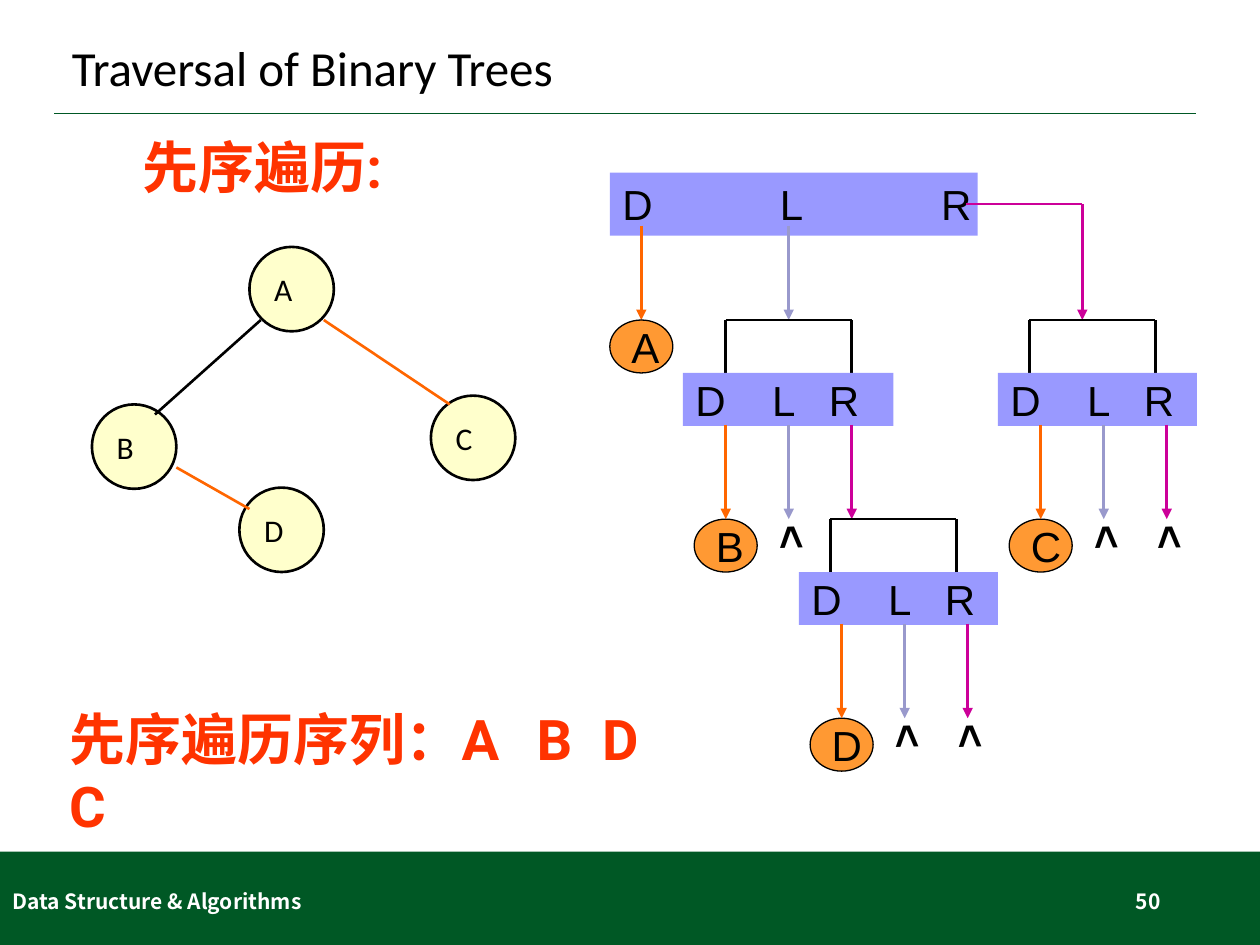
"""Build the slide that walks through a preorder traversal of a binary tree."""
import dataclasses

import lxml.etree
import pptx
import pptx.dml.color
import pptx.enum.shapes
import pptx.enum.text
import pptx.oxml.ns
import pptx.util

Inches = pptx.util.Inches
SHAPE = pptx.enum.shapes.MSO_SHAPE
ALIGN = pptx.enum.text.PP_ALIGN
ANCHOR = pptx.enum.text.MSO_ANCHOR
qn = pptx.oxml.ns.qn


@dataclasses.dataclass(frozen=True)
class Theme:
    """Colours, fonts and type sizes of the slide."""
    green: str = "005825"
    black: str = "000000"
    white: str = "FFFFFF"
    red: str = "FF3300"
    cream: str = "FFFFCC"
    amber: str = "FF9933"
    violet: str = "9999FF"
    visit: str = "FF6600"
    left: str = "9999CC"
    right: str = "CC0099"
    body: str = "Calibri"
    letter: str = "Arial"
    heading: str = "Roboto"
    cjk: str = "Noto Sans CJK SC"
    title_size: int = 28
    heading_size: int = 32
    letter_size: int = 24
    node_size: int = 18
    footer_size: int = 12


class TraversalSlide:
    """Hold the theme and the current slide, and draw each kind of element."""

    def __init__(self, deck, theme):
        self.theme = theme
        self.slide = deck.slides.add_slide(deck.slide_layouts[5])

    def color(self, value):
        return pptx.dml.color.RGBColor.from_string(value)

    def apply(self, target, values):
        for name, value in values.items():
            setattr(target, name, value)

    def set_text(self, holder, words, font, size, color, bold=False,
                 align=ALIGN.LEFT, tabs=(), **frame_format):
        frame = holder.text_frame
        self.apply(frame, {"vertical_anchor": ANCHOR.MIDDLE, "word_wrap": True,
                           **frame_format})
        frame.text = words
        paragraph = frame.paragraphs[0]
        paragraph.alignment = align
        if tabs:
            stops = lxml.etree.SubElement(
                paragraph._p.get_or_add_pPr(), qn("a:tabLst"))
            for stop in tabs:
                lxml.etree.SubElement(stops, qn("a:tab"),
                                      pos=str(Inches(stop)), algn="l")
        for run in paragraph.runs:
            self.apply(run.font, {"name": font, "size": pptx.util.Pt(size),
                                  "bold": bold})
            run.font.color.rgb = self.color(color)
            lxml.etree.SubElement(run._r.get_or_add_rPr(), qn("a:ea"),
                                  typeface=self.theme.cjk)
        return paragraph

    def title(self, words):
        heading = self.slide.shapes.title
        self.apply(heading, {"left": Inches(0.47), "top": Inches(0.23),
                             "width": Inches(9.06), "height": Inches(0.66)})
        paragraph = self.set_text(heading, words, self.theme.body,
                                  self.theme.title_size, self.theme.black)
        paragraph.line_spacing = 0.9

    def label(self, words, place, font, size, color, rotation=0, **text_format):
        box = self.slide.shapes.add_textbox(*map(Inches, place))
        box.rotation = rotation
        self.set_text(box, words, font, size, color, bold=True, **text_format)

    def shape(self, kind, place, fill, outline=None):
        body = self.slide.shapes.add_shape(kind, *map(Inches, place))
        body.shadow.inherit = False
        body.fill.solid()
        body.fill.fore_color.rgb = self.color(fill)
        if outline:
            body.line.color.rgb = self.color(self.theme.black)
            body.line.width = pptx.util.Pt(outline)
        else:
            body.line.fill.background()
        return body

    def line(self, start, end, color, width=1.5, arrow=False):
        link = self.slide.shapes.add_connector(
            pptx.enum.shapes.MSO_CONNECTOR.STRAIGHT,
            *map(Inches, (*start, *end)))
        link.line.color.rgb = self.color(color)
        link.line.width = pptx.util.Pt(width)
        if arrow:
            lxml.etree.SubElement(link.line._get_or_add_ln(), qn("a:tailEnd"),
                                  type="triangle")
        lxml.etree.SubElement(link._element.spPr, qn("a:effectLst"))

    def node(self, letter, left, top):
        circle = self.shape(SHAPE.OVAL, (left, top, 0.67, 0.67),
                            self.theme.cream, 1.5)
        self.set_text(circle, letter, self.theme.body, self.theme.node_size,
                      self.theme.black, word_wrap=False)

    def visited(self, letter, center, top):
        oval = self.shape(SHAPE.OVAL, (center - 0.25, top, 0.5, 0.42),
                          self.theme.amber, 0.75)
        self.set_text(oval, letter, self.theme.letter, self.theme.letter_size,
                      self.theme.black, word_wrap=False)

    def empty(self, center, top):
        self.label(">", (center - 0.21, top - 0.12, 0.42, 0.51),
                   self.theme.letter, self.theme.letter_size, self.theme.black,
                   rotation=268.3, vertical_anchor=ANCHOR.TOP)

    def steps(self, place, tabs):
        bar = self.shape(SHAPE.RECTANGLE, place, self.theme.violet)
        self.set_text(bar, "D\tL\tR", self.theme.letter,
                      self.theme.letter_size, self.theme.black, tabs=tabs,
                      margin_right=0)

    def call(self, letter, left, top, width, bracket, right_empty=True):
        theme = self.theme
        roof, landing = top - 0.42, top + 1.16
        self.line((bracket, roof), (bracket + 1, roof), theme.black)
        for side in (bracket, bracket + 1):
            self.line((side, roof), (side, top), theme.black)
        self.steps((left, top, width, 0.42), (0.61, 1.06))
        for index, color in enumerate((theme.visit, theme.left, theme.right)):
            center = left + 0.34 + index * 0.5
            if index == 0:
                self.visited(letter, center, landing)
            elif index == 1 or right_empty:
                self.empty(center, landing)
            self.line((center, top + 0.41), (center, landing), color, arrow=True)


def main():
    deck = pptx.Presentation()
    deck.slide_width, deck.slide_height = Inches(10), Inches(7.5)
    theme = Theme()
    page = TraversalSlide(deck, theme)

    page.shape(SHAPE.RECTANGLE, (0, 6.76, 10, 0.74), theme.green)
    page.line((0.43, 0.9), (9.49, 0.9), theme.green, 1)
    page.title("Traversal of Binary Trees")
    footer = (theme.cjk, theme.footer_size, theme.white)
    page.label("Data Structure & Algorithms", (0, 6.95, 3.38, 0.4), *footer)
    page.label("50", (7.06, 6.95, 2.25, 0.4), *footer, align=ALIGN.RIGHT)

    for letter, left, top in (("A", 1.98, 1.96), ("D", 1.9, 3.87),
                              ("B", 0.73, 3.21), ("C", 3.42, 3.14)):
        page.node(letter, left, top)
    for parent, child, color in (((2.07, 2.54), (1.23, 3.29), theme.black),
                                 ((2.57, 2.54), (3.57, 3.21), theme.visit),
                                 ((1.4, 3.71), (1.98, 4.04), theme.visit)):
        page.line(parent, child, color)

    page.steps((4.84, 1.37, 2.92, 0.5), (1.25, 2.53))
    page.line((5.09, 1.79), (5.09, 2.54), theme.visit, arrow=True)
    page.visited("A", 5.09, 2.54)
    page.line((6.26, 1.79), (6.26, 2.54), theme.left, arrow=True)
    page.line((7.67, 1.62), (8.59, 1.62), theme.right)
    page.line((8.59, 1.62), (8.59, 2.54), theme.right, arrow=True)
    page.call("B", 5.42, 2.96, 1.67, 5.76, right_empty=False)
    page.call("D", 6.34, 4.54, 1.58, 6.59)
    page.call("C", 7.92, 2.96, 1.58, 8.17)

    heading = (theme.heading, theme.heading_size, theme.red)
    page.label("先序遍历序列：A\tB\tD\vC", (0.45, 5.54, 5.22, 0.63), *heading,
               tabs=(3.71, 4.23), vertical_anchor=ANCHOR.TOP)
    page.label("先序遍历:", (1.03, 1, 2.1, 0.63), *heading, word_wrap=False,
               vertical_anchor=ANCHOR.TOP)
    deck.save("out.pptx")


if __name__ == "__main__":
    main()
